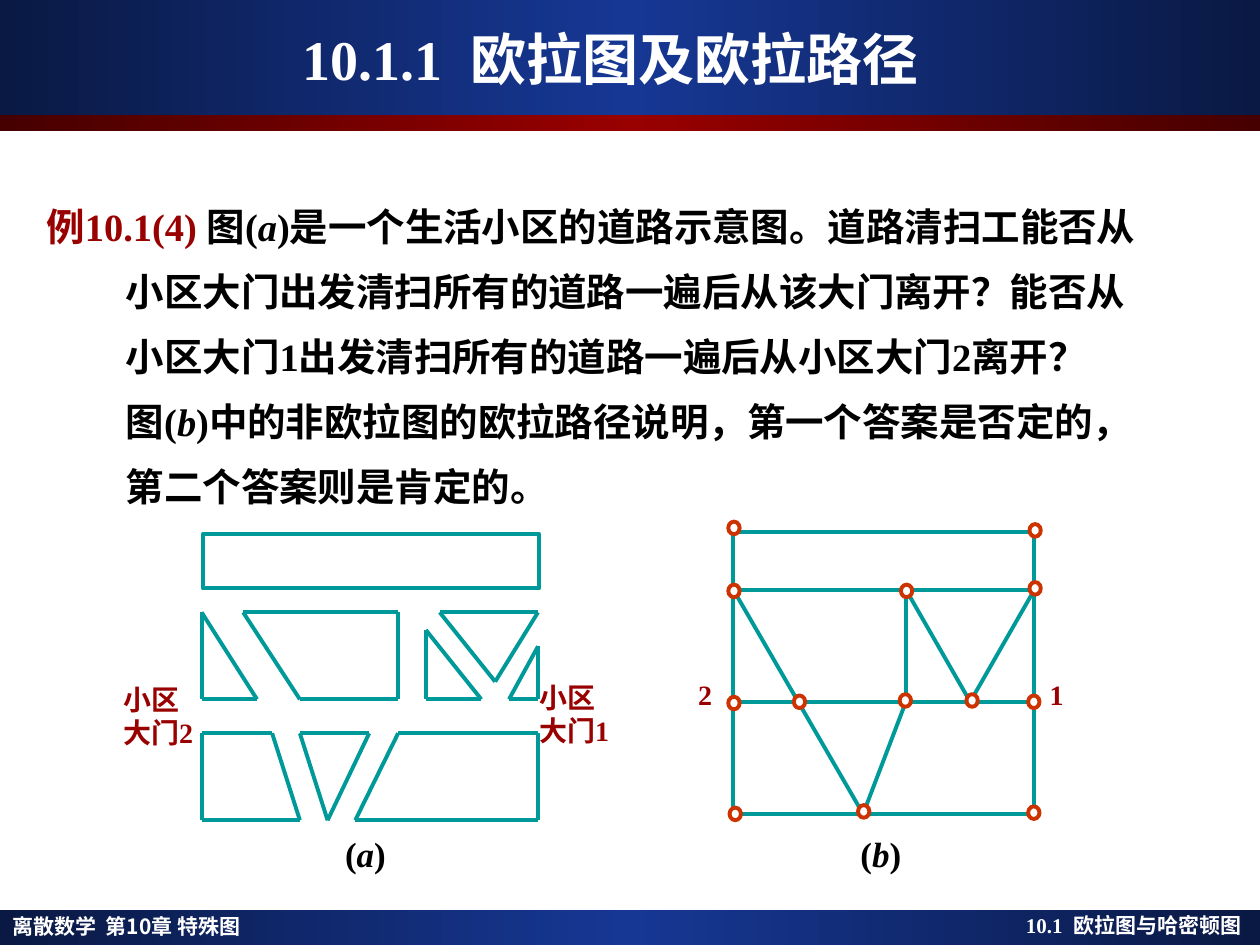
from copy import deepcopy
from pptx import Presentation, util as u
from pptx.dml.color import RGBColor
from pptx.enum import shapes, text
from pptx.oxml.ns import qn

C = {"navy": "0A1944", "blue": "163794", "maroon": "460000", "red": "990000",
     "teal": "009999", "orange": "CC3300", "white": "FFFFFF", "black": "000000"}
C = {name: RGBColor.from_string(code) for name, code in C.items()}
LATIN, CJK = "Times New Roman", "Noto Sans CJK JP"

prs = Presentation()
prs.slide_width, prs.slide_height = u.Inches(10), u.Inches(7.5)
s = prs.slides.add_slide(prs.slide_layouts[5])


def write(lines, at, size, color="black", lead="", font=LATIN, align="LEFT", anchor="TOP",
          inset=(0.1, 0.05), pitch=None, before=0, hang=0, wrap=True, sp=None):
    """Fill a text box; pieces between underscores are italic, lead opens it in red."""
    at = [u.Inches(v) for v in at]
    sp = sp or s.shapes.add_textbox(*at)
    sp.left, sp.top, sp.width, sp.height = at
    tf = sp.text_frame
    tf.word_wrap, tf.auto_size = wrap, text.MSO_AUTO_SIZE.NONE
    tf.vertical_anchor = text.MSO_ANCHOR[anchor]
    tf.margin_left = tf.margin_right = u.Inches(inset[0])
    tf.margin_top = tf.margin_bottom = u.Inches(inset[1])
    for i, line in enumerate(lines):
        p = tf.paragraphs[0] if i == 0 else tf.add_paragraph()
        p.alignment = text.PP_ALIGN[align]
        p.space_before = u.Pt(before if i else 0)
        if pitch:
            p.line_spacing = u.Pt(pitch)
        if i and hang:
            p._p.get_or_add_pPr().set("marL", str(u.Inches(hang)))
        runs = [(part, color, n % 2 == 1) for n, part in enumerate(line.split("_"))]
        if lead and i == 0:
            runs.insert(0, (lead, "red", False))
        for words, tint, italic in runs:
            r = p.add_run()
            r.text = words
            r.font.name, r.font.size = font, u.Pt(size)
            r.font.bold, r.font.italic = True, italic
            r.font.color.rgb = C[tint]
            ea = r._r.get_or_add_rPr().makeelement(qn("a:ea"), {"typeface": CJK})
            r._r.rPr.find(qn("a:latin")).addnext(ea)


def connect(a, b):
    ln = s.shapes.add_connector(shapes.MSO_CONNECTOR.STRAIGHT, *[u.Inches(v) for v in (*a, *b)])
    ln.line.color.rgb, ln.line.width = C["teal"], u.Pt(2.25)
    spPr = ln._element.spPr
    spPr.append(spPr.makeelement(qn("a:effectLst"), {}))


# Header and footer bars
for top, height, edge, middle in [(7.22, 0.28, "navy", "blue"), (0, 0.91, "navy", "blue"),
                                  (0.91, 0.13, "maroon", "red")]:
    sp = s.shapes.add_shape(shapes.MSO_SHAPE.RECTANGLE, 0, u.Inches(top),
                            prs.slide_width, u.Inches(height))
    sp.shadow.inherit = False
    sp.line.fill.background()
    sp.fill.gradient()
    sp.fill.gradient_angle = 0
    stops = sp._element.spPr.find(".//" + qn("a:gsLst"))
    stops.insert(1, deepcopy(stops[0]))
    for stop, position, tint in zip(sp.fill.gradient_stops, (0, 0.5, 1), (edge, middle, edge)):
        stop.position, stop.color.rgb = position, C[tint]

write(["离散数学  第10章 特殊图"], (0, 7.2, 4.13, 0.28), 12, "white", font=CJK)
write(["10.1  欧拉图与哈密顿图"], (7.39, 7.19, 2.56, 0.3), 12, "white", align="RIGHT")

title = s.shapes.title
s.shapes._spTree.append(title._element)
write(["10.1.1  欧拉图及欧拉路径"], (0.22, 0.15, 9.25, 0.62), 32, "white",
      align="CENTER", anchor="MIDDLE", sp=title)

write(["图(_a_)是一个生活小区的道路示意图。道路清扫工能否从",
       "小区大门出发清扫所有的道路一遍后从该大门离开？能否从",
       "小区大门1出发清扫所有的道路一遍后从小区大门2离开？",
       "图(_b_)中的非欧拉图的欧拉路径说明，第一个答案是否定的，",
       "第二个答案则是肯定的。"],
      (0.27, 1.49, 9.45, 2.68), 22, lead="例10.1(4) ", pitch=31.6, before=5.5, hang=0.63)

# (a) Blocks of the estate, separated by its roads
sp = s.shapes.add_shape(shapes.MSO_SHAPE.RECTANGLE,
                        *[u.Inches(v) for v in (1.61, 4.24, 2.67, 0.43)])
sp.shadow.inherit = False
sp.fill.background()
sp.line.color.rgb, sp.line.width = C["teal"], u.Pt(2.25)

WEST, EAST = 1.6, 4.27
R1, R2, R3, R4 = 4.86, 5.55, 5.82, 6.51
blocks = [
    [(WEST, R1), (2.04, R2), (WEST, R2)],
    [(1.93, R1), (3.16, R1), (3.16, R2), (2.38, R2)],
    [(3.38, 5), (3.82, R2), (3.38, R2)],
    [(3.49, R1), (EAST, R1), (3.93, 5.41)],
    [(EAST, 5.13), (EAST, R2), (4.04, R2)],
    [(WEST, R3), (2.16, R3), (2.38, R4), (WEST, R4)],
    [(2.38, R3), (2.93, R3), (2.6, R4)],
    [(3.16, R3), (EAST, R3), (EAST, R4), (2.82, R4)],
]
for block in blocks:
    for a, b in zip(block, block[1:] + block[:1]):
        connect(a, b)

# (b) Graph of the roads
LEFT, RIGHT, MID, V, FOOT = 5.82, 8.21, 7.19, 7.7, 6.85
TOP, UPPER, GATE, BOTTOM = 4.22, 4.68, 5.57, 6.46
for y in (TOP, UPPER, GATE, BOTTOM):
    connect((LEFT, y), (RIGHT, y))
for x in (LEFT, RIGHT):
    connect((x, TOP), (x, BOTTOM))
for road in ([(LEFT, UPPER), (FOOT, BOTTOM), (MID, GATE), (MID, UPPER), (V, GATE), (RIGHT, UPPER)],):
    for a, b in zip(road, road[1:]):
        connect(a, b)

nodes = [(5.78, 4.14), (8.17, 4.16), (5.78, 4.64), (7.15, 4.64), (8.17, 4.62),
         (5.78, 5.53), (6.3, 5.52), (7.14, 5.51), (7.67, 5.51), (8.16, 5.52),
         (5.79, 6.41), (6.81, 6.39), (8.16, 6.4)]
for x, y in nodes:
    sp = s.shapes.add_shape(shapes.MSO_SHAPE.OVAL, *[u.Inches(v) for v in (x, y, 0.09, 0.1)])
    sp.shadow.inherit = False
    sp.fill.solid()
    sp.fill.fore_color.rgb = C["white"]
    sp.line.color.rgb, sp.line.width = C["orange"], u.Pt(2.25)

# Gate labels and captions
for lines, at, inset in [(["小区", "大门1"], (4.22, 5.37, 0.96, 0.62), (0.06, 0.03)),
                         (["小区", "大门2"], (0.88, 5.37, 0.95, 0.7), (0.1, 0.05)),
                         (["2"], (5.47, 5.34, 0.32, 0.64), (0.07, 0.04)),
                         (["1"], (8.26, 5.34, 0.28, 0.48), (0.07, 0.04))]:
    write(lines, at, 16, "red", inset=inset, align="JUSTIFY", pitch=19 if len(lines) > 1 else None)
for caption, x in [("(_a_)", 2.64), ("(_b_)", 6.73)]:
    write([caption], (x, 6.56, 0.52, 0.44), 20, wrap=False)

prs.save("out.pptx")
